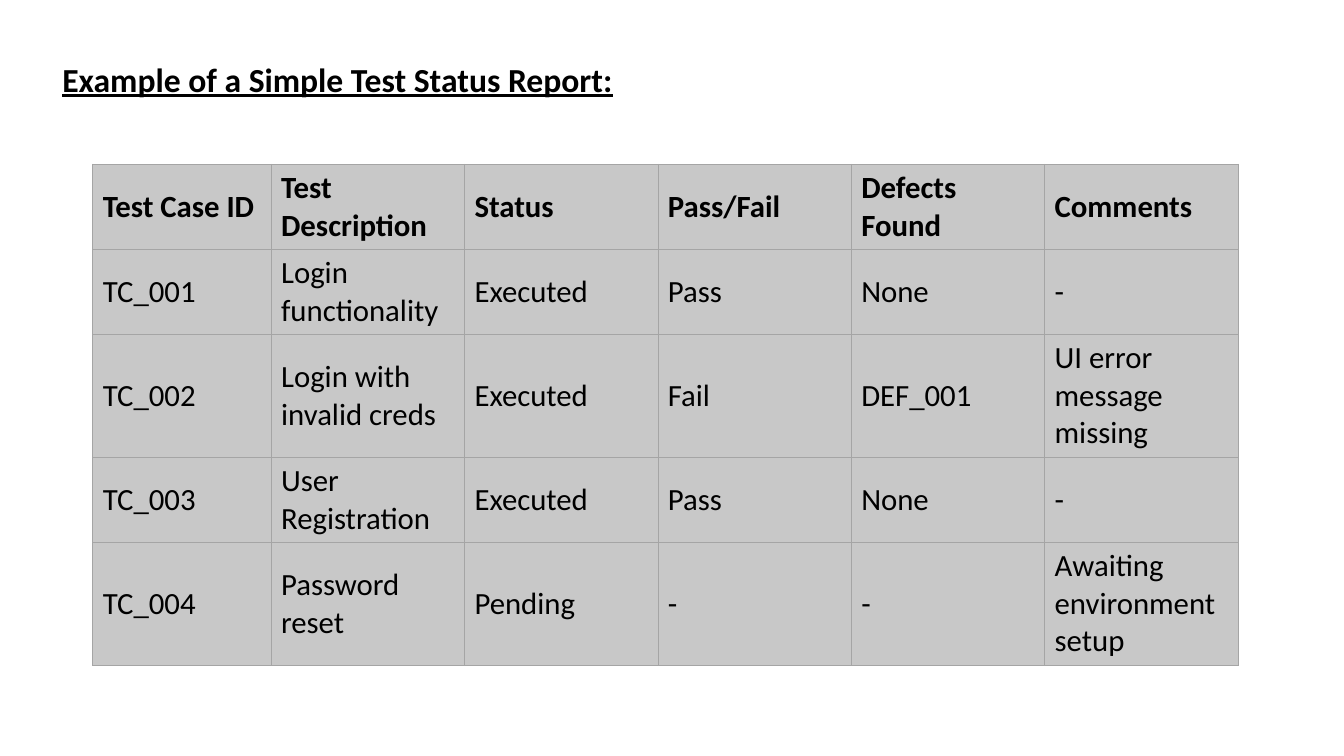
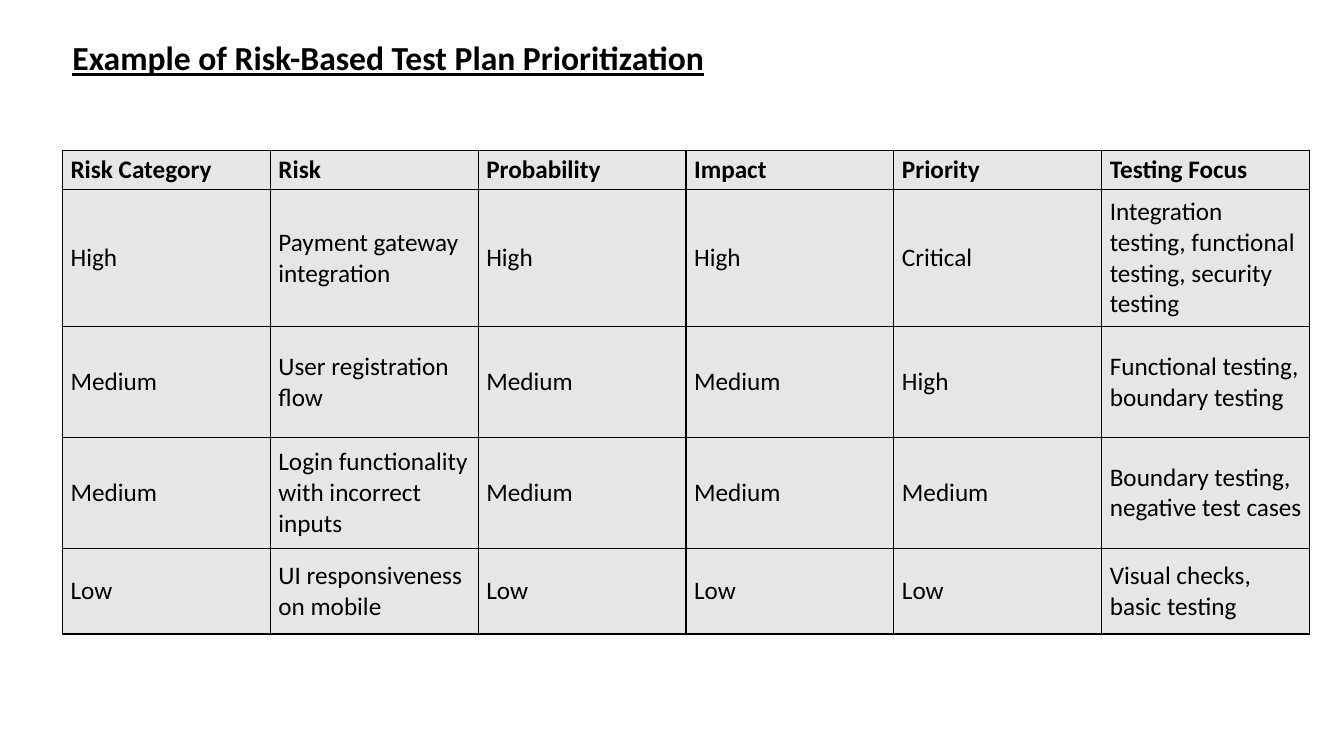
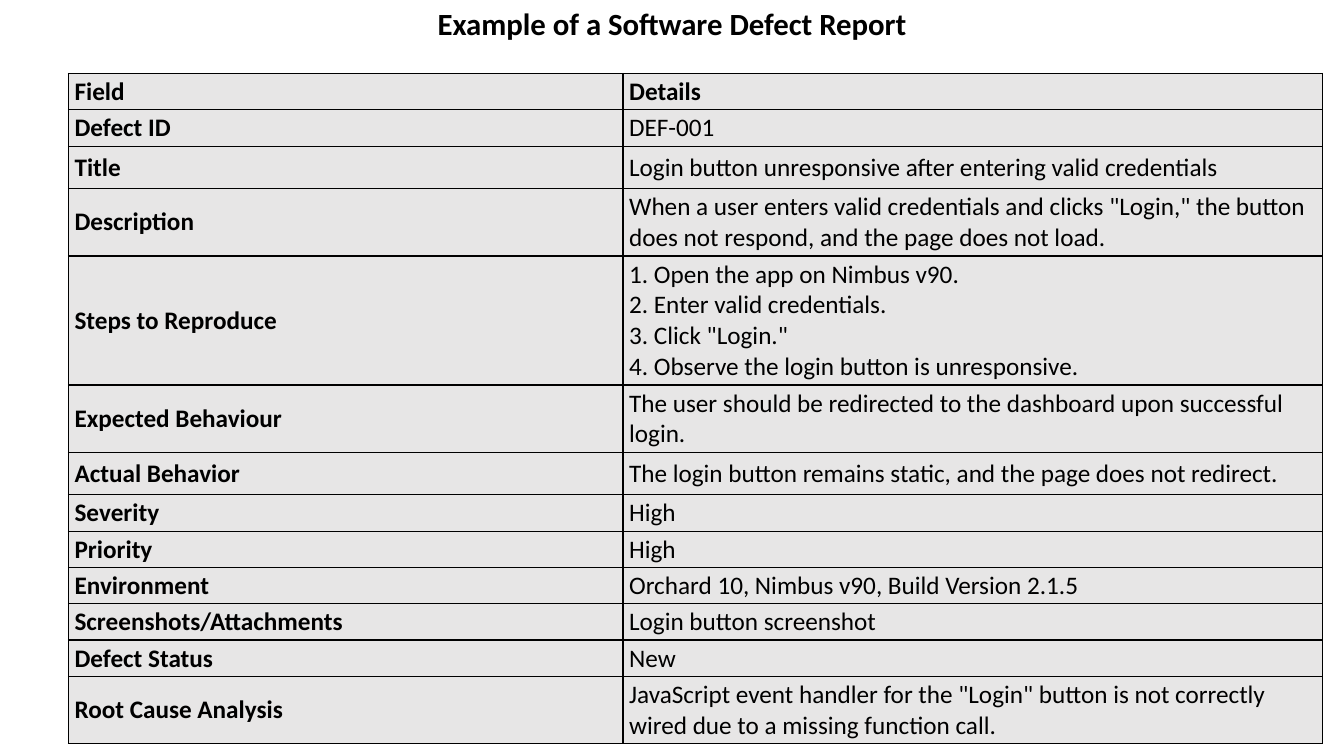
from dataclasses import dataclass

from lxml.etree import SubElement
from pptx import Presentation
from pptx.dml.color import RGBColor
from pptx.enum.text import MSO_ANCHOR, PP_ALIGN
from pptx.oxml.ns import qn
from pptx.util import Inches, Pt


@dataclass(frozen=True)
class Theme:
    font: str = "Calibri"
    text: str = "000000"
    title_size: int = 24
    compact_title_size: int = 22
    large_body: int = 22
    body: int = 18


@dataclass(frozen=True)
class Box:
    left: float
    top: float
    width: float
    height: float

    def inches(self):
        return [Inches(n) for n in (self.left, self.top, self.width, self.height)]


@dataclass(frozen=True)
class TableStyle:
    size: int
    fill: str
    border: str
    border_width: float
    margin_x: float
    margin_y: float
    bold_first_column: bool = False


THEME = Theme()
STATUS_STYLE = TableStyle(THEME.large_body, "C8C8C8", "A5A5A5", 0.5, 0.1, 0.05)
RISK_STYLE = TableStyle(THEME.body, "E7E6E6", "000000", 1, 0.08, 0.04)
DEFECT_STYLE = TableStyle(THEME.body, "E7E6E6", "000000", 1, 0.06, 0.03, True)

STATUS_ROWS = [
    ("Test Case ID", "Test Description", "Status", "Pass/Fail", "Defects Found", "Comments"),
    ("TC_001", "Login functionality", "Executed", "Pass", "None", "-"),
    ("TC_002", "Login with invalid creds", "Executed", "Fail", "DEF_001",
     "UI error message missing"),
    ("TC_003", "User Registration", "Executed", "Pass", "None", "-"),
    ("TC_004", "Password reset", "Pending", "-", "-", "Awaiting environment setup"),
]

RISK_ROWS = [
    ("Risk Category", "Risk", "Probability", "Impact", "Priority", "Testing Focus"),
    ("High", "Payment gateway integration", "High", "High", "Critical",
     "Integration testing, functional testing, security testing"),
    ("Medium", "User registration flow", "Medium", "Medium", "High",
     "Functional testing, boundary testing"),
    ("Medium", "Login functionality with incorrect inputs", "Medium", "Medium", "Medium",
     "Boundary testing, negative test cases"),
    ("Low", "UI responsiveness on mobile", "Low", "Low", "Low",
     "Visual checks, basic testing"),
]

DEFECT_ROWS = [
    ("Field", "Details"),
    ("Defect ID", "DEF-001"),
    ("Title", "Login button unresponsive after entering valid credentials"),
    ("Description", 'When a user enters valid credentials and clicks "Login," the button '
     "does not respond, and the page does not load."),
    ("Steps to Reproduce", "1. Open the app on Nimbus v90.\n2. Enter valid credentials.\n"
     '3. Click "Login."\n4. Observe the login button is unresponsive.'),
    ("Expected Behaviour",
     "The user should be redirected to the dashboard upon successful login."),
    ("Actual Behavior", "The login button remains static, and the page does not redirect."),
    ("Severity", "High"),
    ("Priority", "High"),
    ("Environment", "Orchard 10, Nimbus v90, Build Version 2.1.5"),
    ("Screenshots/Attachments", "Login button screenshot"),
    ("Defect Status", "New"),
    ("Root Cause Analysis", 'JavaScript event handler for the "Login" button is not correctly '
     "wired due to a missing function call."),
]


def style_font(font, size, bold):
    font.name = THEME.font
    font.size = Pt(size)
    font.bold = bold
    font.color.rgb = RGBColor.from_string(THEME.text)


def add_title(slide, box, text, size=THEME.title_size, underline=True, align=PP_ALIGN.LEFT):
    frame = slide.shapes.add_textbox(*box.inches()).text_frame
    frame.word_wrap = True
    frame.vertical_anchor = MSO_ANCHOR.MIDDLE
    paragraph = frame.paragraphs[0]
    paragraph.text = text
    paragraph.alignment = align
    style_font(paragraph.font, size, True)
    paragraph.font.underline = underline


def add_borders(cell, color, width):
    properties = cell._tc.get_or_add_tcPr()
    for side in ("a:lnL", "a:lnR", "a:lnT", "a:lnB"):
        line = SubElement(properties, qn(side), w=str(Pt(width)))
        fill = SubElement(line, qn("a:solidFill"))
        SubElement(fill, qn("a:srgbClr"), val=color)


def style_cell(cell, text, style, bold):
    cell.text = text
    cell.vertical_anchor = MSO_ANCHOR.MIDDLE
    cell.margin_left = cell.margin_right = Inches(style.margin_x)
    cell.margin_top = cell.margin_bottom = Inches(style.margin_y)
    add_borders(cell, style.border, style.border_width)
    cell.fill.solid()
    cell.fill.fore_color.rgb = RGBColor.from_string(style.fill)
    for paragraph in cell.text_frame.paragraphs:
        style_font(paragraph.font, style.size, bold)


def add_grid(slide, box, rows, column_shares, row_shares, style):
    """Fill the box with a table whose columns and rows follow the given shares."""
    table = slide.shapes.add_table(len(rows), len(rows[0]), *box.inches()).table
    table.first_row = table.horz_banding = False
    for column, share in zip(table.columns, column_shares):
        column.width = Inches(box.width * share / sum(column_shares))
    for row, share in zip(table.rows, row_shares):
        row.height = Inches(box.height * share / sum(row_shares))
    for r, values in enumerate(rows):
        for c, value in enumerate(values):
            bold = r == 0 or (c == 0 and style.bold_first_column)
            style_cell(table.cell(r, c), value, style, bold)


def build_status_slide(slide):
    add_grid(slide, Box(0.92, 1.63, 11.36, 4.96), STATUS_ROWS,
             [1.77] + [1.92] * 5, [0.84, 0.84, 1.22, 0.84, 1.22], STATUS_STYLE)
    add_title(slide, Box(0.52, 0.53, 8.46, 0.5), "Example of a Simple Test Status Report:")


def build_risk_slide(slide):
    add_grid(slide, Box(0.62, 1.49, 12.37, 4.8), RISK_ROWS,
             [1] * 6, [0.39, 1.36, 1.1, 1.1, 0.85], RISK_STYLE)
    add_title(slide, Box(0.62, 0.32, 12.37, 0.5),
              "Example of Risk-Based Test Plan Prioritization")


def build_defect_slide(slide):
    one_line, roomy, two_lines, four_lines = 0.36, 0.42, 0.67, 1.28
    row_shares = [one_line, one_line, roomy, two_lines, four_lines, two_lines, roomy,
                  *[one_line] * 5, two_lines]
    add_grid(slide, Box(0.68, 0.73, 12.44, 6.65), DEFECT_ROWS,
             [5.5, 6.94], row_shares, DEFECT_STYLE)
    add_title(slide, Box(3.33, 0, 6.67, 0.47), "Example of a Software Defect Report",
              THEME.compact_title_size, False, PP_ALIGN.CENTER)


def main():
    presentation = Presentation()
    presentation.slide_width = Inches(13.33)
    presentation.slide_height = Inches(7.5)
    blank = presentation.slide_layouts[6]
    for build in (build_status_slide, build_risk_slide, build_defect_slide):
        build(presentation.slides.add_slide(blank))
    presentation.save("out.pptx")


if __name__ == "__main__":
    main()
